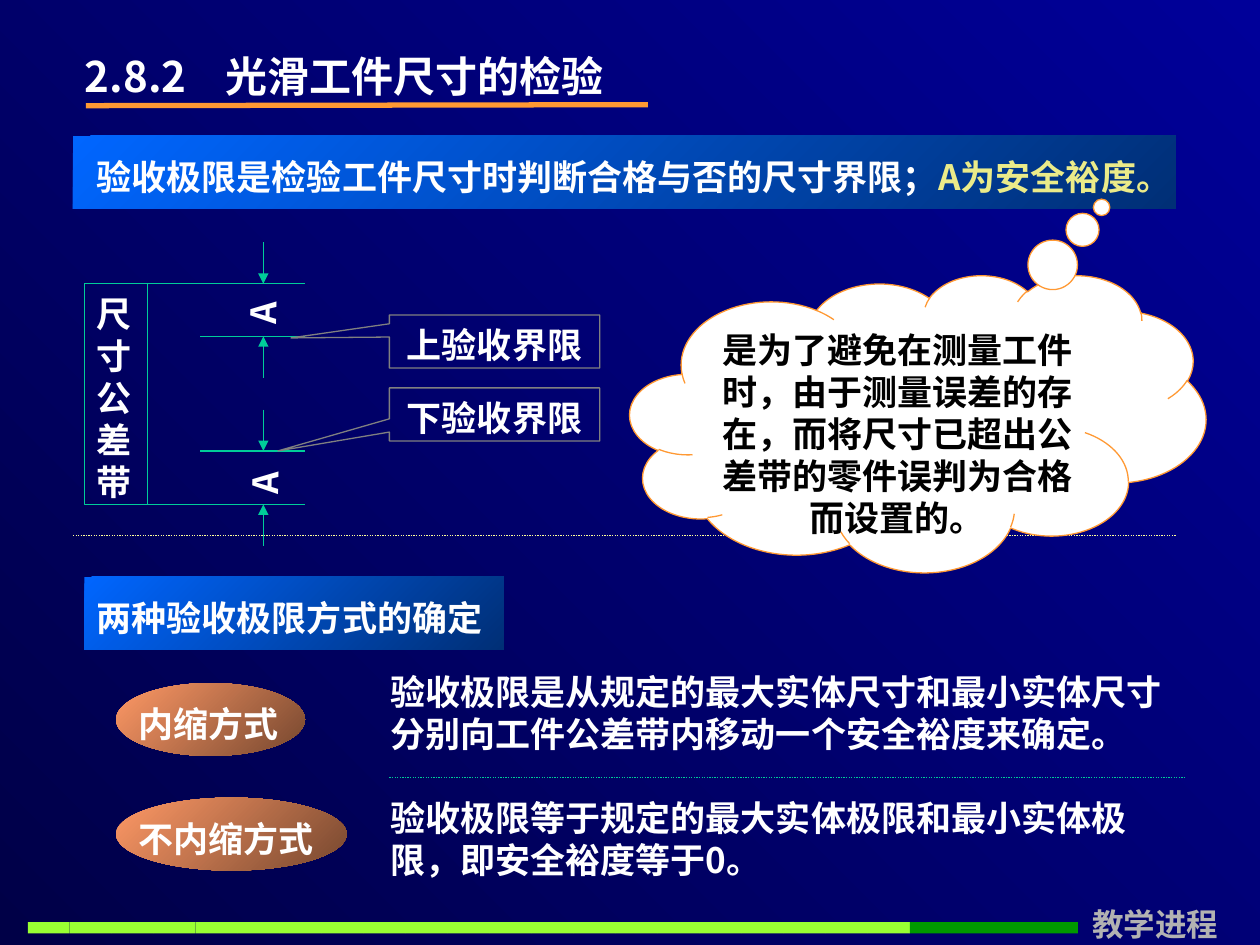
from lxml.etree import SubElement
from pptx import Presentation
from pptx.dml.color import RGBColor
from pptx.enum.dml import MSO_LINE
from pptx.enum.shapes import MSO_CONNECTOR, MSO_SHAPE as SHP
from pptx.enum.text import MSO_ANCHOR, MSO_AUTO_SIZE, PP_ALIGN as AL
from pptx.oxml.ns import qn
from pptx.util import Cm, Pt

FONT = "Noto Sans CJK SC"
WHITE, GREEN, ORANGE = "FFFFFF", "00CC99", "FF9933"
BLUES, BROWNS = ("0066FF", "002F76"), ("FF9966", "76472F")


def rgb(value):
    return RGBColor.from_string(value)


def set_gradient(fill, colours, angle):
    fill.gradient()
    fill.gradient_angle = angle
    for stop, colour in zip(fill.gradient_stops, colours):
        stop.color.rgb = rgb(colour)


def set_text(sp, runs, size=20, align=AL.LEFT):
    """Write (text, colour) runs as one paragraph at the top of a shape."""
    tf = sp.text_frame
    tf.word_wrap = True
    tf.auto_size = MSO_AUTO_SIZE.NONE
    tf.vertical_anchor = MSO_ANCHOR.TOP
    tf.margin_left = tf.margin_right = Cm(0.25)
    tf.margin_top, tf.margin_bottom = Cm(0.18), Cm(0.08)
    p = tf.paragraphs[0]
    p.alignment = align
    p.space_before = Pt(0)
    p.line_spacing = Pt(size * 1.2)
    for text, colour in runs:
        r = p.add_run()
        r.text = text
        r.font.name, r.font.size, r.font.bold = FONT, Pt(size), True
        r.font.color.rgb = rgb(colour)
        SubElement(r.font._element, qn("a:ea"), typeface=FONT)
    return p


def add_text(s, box, runs, size=20):
    sp = s.shapes.add_textbox(*map(Cm, box))
    set_text(sp, runs, size)
    return sp


def add_shape(s, kind, box, fill=None, line=None):
    """Fill is a hex string, a pair of them for a gradient, or None."""
    sp = s.shapes.add_shape(kind, *map(Cm, box))
    sp.shadow.inherit = False
    if fill is None:
        sp.fill.background()
    elif isinstance(fill, tuple):
        set_gradient(sp.fill, fill, 315)
    else:
        sp.fill.solid()
        sp.fill.fore_color.rgb = rgb(fill)
    if line:
        sp.line.color.rgb = rgb(line)
        sp.line.width = Pt(0.75)
    else:
        sp.line.fill.background()
    return sp


def add_line(s, x1, y1, x2, y2, colour=GREEN, width=0.75, dotted=False, arrow=False):
    c = s.shapes.add_connector(MSO_CONNECTOR.STRAIGHT, *map(Cm, (x1, y1, x2, y2)))
    c.line.color.rgb = rgb(colour)
    c.line.width = Pt(width)
    if dotted:
        c.line.dash_style = MSO_LINE.ROUND_DOT
    if arrow:
        SubElement(c.line._get_or_add_ln(), qn("a:tailEnd"), type="triangle")
    SubElement(c._element.spPr, qn("a:effectLst"))


def add_callout(s, kind, box, pointer, text, colour, fill, line):
    sp = add_shape(s, kind, box, fill, line)
    sp.adjustments[0], sp.adjustments[1] = pointer
    set_text(sp, [(text, colour)], align=AL.CENTER)


def add_heading(s, box):
    x, y, w, h = box
    title = s.shapes.title
    title.left, title.top, title.width, title.height = map(Cm, box)
    p = set_text(title, [("2.8.2\t光滑工件尺寸的检验", WHITE)], size=24)
    title.text_frame.margin_left = Cm(0.44)
    tabs = SubElement(p._p.get_or_add_pPr(), qn("a:tabLst"))
    SubElement(tabs, qn("a:tab"), pos=str(Cm(2.83)), algn="l")
    add_line(s, x + 0.46, y + 1.29, x + 11.79, y + 1.27, ORANGE, 3)


def add_label(s, kind, box, fill, runs, indent, text_width):
    """A gradient shape with its caption laid over it."""
    x, y, w, h = box
    add_shape(s, kind, box, fill)
    add_text(s, (x + indent, y + 0.22, text_width, 1.12), runs)


def add_tolerance_diagram(s, box):
    x, y, w, h = box
    top, upper, lower, bottom = y + 0.84, y + 1.9, y + 4.21, y + 5.29
    right, mid = x + 4.45, x + 3.61

    # Tolerance zone
    zone = (x, top, 1.27, bottom - top)
    add_shape(s, SHP.RECTANGLE, zone, line=GREEN)
    add_text(s, zone, [("尺寸公差带", WHITE)])

    # Limit lines
    for level, left in ((top, 1.27), (bottom, 1.27), (upper, 2.34), (lower, 2.34)):
        add_line(s, x + left, level, right, level)

    # Arrows onto each limit line
    for start, end in ((y, top), (lower - 0.83, lower),
                       (upper + 0.84, upper), (y + h, bottom)):
        add_line(s, mid, start, mid, end, arrow=True)

    # Safety margins
    for dx, dy in ((2.82, 0.61), (2.87, 4.04)):
        add_text(s, (x + dx, y + dy, 1.47, 1.12), [("A", WHITE)]).rotation = 271.1

    # Names of the acceptance limits
    for dy, pointer, text in ((2.94, (-1.03, 0.688), "下验收界限"),
                              (1.47, (-0.968, -0.067), "上验收界限")):
        add_callout(s, SHP.RECTANGULAR_CALLOUT, (x + w - 4.24, y + dy, 4.24, 1.07),
                    pointer, text, WHITE, None, "808080")


def add_method(s, box, ellipse_width, name, name_width, text, text_y, text_width):
    x, y, w, h = box
    add_label(s, SHP.OVAL, (x, y, ellipse_width, h), BROWNS,
              [(name, WHITE)], 0.2, name_width)
    add_text(s, (x + 5.28, y + text_y, text_width, 1.96), [(text, WHITE)])


def add_footer(s, box, steps=25, done=21):
    x, y, w, h = box
    step = w / steps
    for i in range(steps):
        add_shape(s, SHP.RECTANGLE, (x + i * step, y, step, h),
                  "99FF33" if i < done else "009900")
    add_text(s, (x + w + 0.04, y - 0.53, 3.61, 1.02), [("教学进程", "B2B2B2")], size=18)


def main():
    prs = Presentation()
    prs.slide_width, prs.slide_height = Cm(25.4), Cm(19.05)
    s = prs.slides.add_slide(prs.slide_layouts[5])
    set_gradient(s.background.fill, ("000047", "000099"), 45)

    add_heading(s, (1.27, 0.84, 13.64, 1.27))
    add_label(s, SHP.RECTANGLE, (1.47, 2.74, 22.23, 1.47), BLUES,
              [("验收极限是检验工件尺寸时判断合格与否的尺寸界限；", WHITE),
               ("A为安全裕度。", "EBEB89")], 0.23, 23.06)
    add_tolerance_diagram(s, (1.7, 4.88, 10.39, 6.12))

    # Two ways of setting the limits
    add_label(s, SHP.RECTANGLE, (1.7, 11.63, 8.46, 1.47), BLUES,
              [("两种验收极限方式的确定", WHITE)], 0, 8.89)
    add_line(s, 1.47, 10.8, 23.7, 10.8, "FFFF99", dotted=True)
    add_footer(s, (0.56, 18.59, 21.17, 0.23))
    add_method(s, (2.34, 13.77, 21.76, 1.47), 3.81, "内缩方式", 4.01,
               "验收极限是从规定的最大实体尺寸和最小实体尺寸分别向工件公差带内移动一个安全裕度来确定。",
               -0.43, 16.48)
    add_method(s, (2.34, 16.08, 21.76, 1.47), 4.65, "不内缩方式", 4.65,
               "验收极限等于规定的最大实体极限和最小实体极限，即安全裕度等于0。",
               -0.2, 15.88)
    add_line(s, 7.85, 15.67, 23.88, 15.67, dotted=True)

    # Why the safety margin exists
    add_callout(s, SHP.CLOUD_CALLOUT, (12.7, 5.54, 11.61, 5.99), (0.319, -0.727),
                "是为了避免在测量工件时，由于测量误差的存在，而将尺寸已超出公差带的零件误判为合格而设置的。",
                "000000", WHITE, ORANGE)
    prs.save("out.pptx")


if __name__ == "__main__":
    main()
